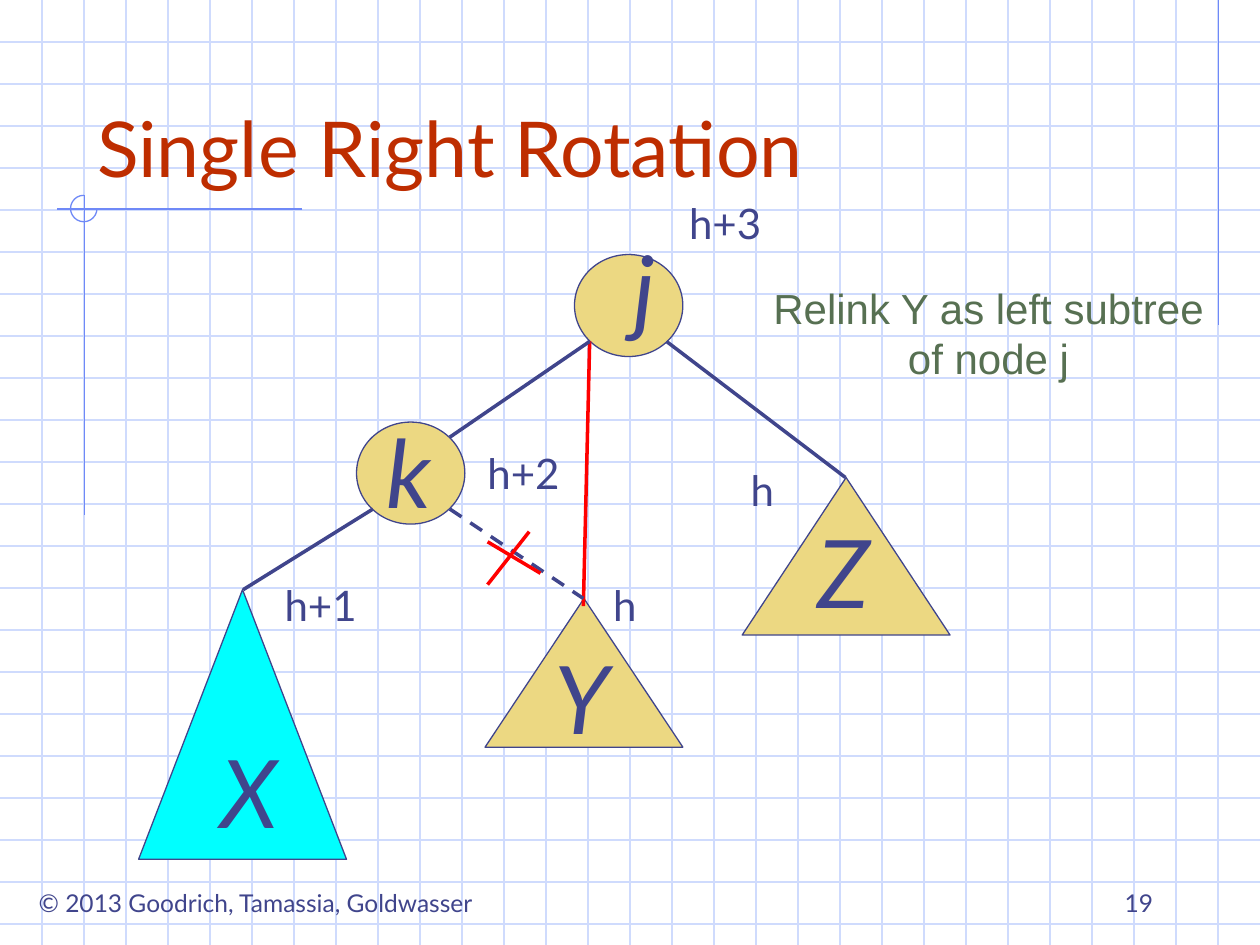
from lxml import etree
from pptx import Presentation
from pptx.dml.color import RGBColor
from pptx.enum.dml import MSO_LINE
from pptx.enum.shapes import MSO_CONNECTOR, MSO_SHAPE
from pptx.enum.text import MSO_ANCHOR, MSO_AUTO_SIZE, PP_ALIGN
from pptx.oxml.ns import qn
from pptx.util import Inches, Pt

STRAIGHT = MSO_CONNECTOR.STRAIGHT
OVAL = MSO_SHAPE.OVAL
CONE = MSO_SHAPE.ISOSCELES_TRIANGLE
ARC = MSO_SHAPE.ARC
DASH = MSO_LINE.DASH
TOP, BOTTOM = MSO_ANCHOR.TOP, MSO_ANCHOR.BOTTOM
LEFT, CENTER, RIGHT = PP_ALIGN.LEFT, PP_ALIGN.CENTER, PP_ALIGN.RIGHT
NO_FIT = MSO_AUTO_SIZE.NONE

WIDE, HIGH = 10, 7.5
INK, GOLD, CYAN, RED = "40458C", "ECD882", "00FFFF", "FF0000"
PALE, BLUE, RUST, GREEN = "CFDBFD", "6F89F7", "BE2D00", "577052"


def color(code):
    return RGBColor.from_string(code)


def inches(box):
    return [Inches(value) for value in box]


def line(slide, start, end, code=INK, width=2, dash=None):
    link = slide.shapes.add_connector(STRAIGHT, *inches(start + end))
    link.line.color.rgb = color(code)
    link.line.width = Pt(width)
    if dash:
        link.line.dash_style = dash
    etree.SubElement(link._element.spPr, qn("a:effectLst"))


def shape(slide, kind, box, fill=None, code=INK):
    form = slide.shapes.add_shape(kind, *inches(box))
    form.shadow.inherit = False
    if fill:
        form.fill.solid()
        form.fill.fore_color.rgb = color(fill)
    else:
        form.fill.background()
    form.line.color.rgb = color(code)
    form.line.width = Pt(0.75)
    return form


def style(frame, text, size, code=INK, align=CENTER, anchor=TOP, font="Lato", wrap=True):
    frame.auto_size = NO_FIT
    frame.word_wrap = wrap
    frame.vertical_anchor = anchor
    frame.text = text
    para = frame.paragraphs[0]
    para.alignment = align
    para.font.size = Pt(size)
    para.font.name = font
    para.font.color.rgb = color(code)
    return para


def label(slide, box, text, size=24, **look):
    area = slide.shapes.add_textbox(*inches(box))
    return style(area.text_frame, text, size, **look)


def grid(slide, wide, high, step=1 / 3):
    for row in range(1, int(high / step) + 1):
        line(slide, (0, row * step), (wide, row * step), PALE, 0.75)
    for col in range(1, int(wide / step)):
        line(slide, (col * step, 0), (col * step, high), PALE, 0.75)


def marks(slide):
    for start, end in (
        ((9.67, 0), (9.67, 2.58)),
        ((2.4, 1.66), (0.45, 1.66)),
        ((0.67, 1.55), (0.67, 4.09)),
    ):
        line(slide, start, end, BLUE, 0.75)
    ring = shape(slide, ARC, (0.56, 1.55, 0.21, 0.21), code=BLUE)
    ring.adjustments[0] = 0
    ring.adjustments[1] = 162


def heading(slide, box, text):
    title = slide.shapes.title
    title.left, title.top, title.width, title.height = inches(box)
    style(title.text_frame, text, 44, code=RUST, align=LEFT, anchor=BOTTOM)
    title._element.getparent().append(title._element)


def node(slide, kind, box, name, spot, fill=GOLD):
    shape(slide, kind, box, fill)
    label(slide, spot + (0.53, 1), name, 54).font.italic = True


def tree(slide):
    for kind, box, name, spot, fill in (
        (OVAL, (4.56, 2.02, 0.86, 0.81), "j", (4.85, 1.78), GOLD),
        (OVAL, (2.83, 3.35, 0.86, 0.81), "k", (2.97, 3.24), GOLD),
        (CONE, (1.1, 4.68, 1.65, 2.14), "X", (1.65, 5.78), CYAN),
        (CONE, (3.85, 4.75, 1.57, 1.18), "Y", (4.3, 5.03), GOLD),
        (CONE, (5.89, 3.79, 1.65, 1.25), "Z", (6.39, 4.03), GOLD),
    ):
        node(slide, kind, box, name, spot, fill)
    for start, end, code, dash in (
        ((2.96, 4.04), (1.93, 4.68), INK, None),
        ((5.29, 2.71), (6.71, 3.79), INK, None),
        ((4.68, 2.71), (4.63, 4.81), RED, None),
        ((3.57, 3.47), (4.68, 2.71), INK, None),
        ((3.57, 4.04), (4.63, 4.75), INK, DASH),
        ((3.87, 4.3), (4.29, 4.55), RED, None),
        ((4.2, 4.22), (3.87, 4.64), RED, None),
    ):
        line(slide, start, end, code, dash=dash)
    for left, top, text in (
        (5.85, 3.64, "h"),
        (2.15, 4.55, "h+1"),
        (4.76, 4.55, "h"),
        (3.76, 3.5, "h+2"),
        (5.36, 1.52, "h+3"),
    ):
        width = 0.4 if text == "h" else 0.79
        label(slide, (left, top, width, 0.5), text, wrap=False)


def main():
    deck = Presentation()
    deck.slide_width, deck.slide_height = inches((WIDE, HIGH))
    slide = deck.slides.add_slide(deck.slide_layouts[5])
    grid(slide, WIDE, HIGH)
    marks(slide)
    label(slide, (0.09, 7, 3.88, 0.34), "© 2013 Goodrich, Tamassia, Goldwasser", 14, wrap=False)
    heading(slide, (0.67, 0.33, 8.5, 1.25), "Single Right Rotation")
    label(slide, (7.17, 6.83, 2.08, 0.5), "19", 14, align=RIGHT, anchor=BOTTOM)
    tree(slide)
    label(slide, (5.89, 2.19, 3.91, 0.9), "Relink Y as left subtree of node j", code=GREEN, font="Arial")
    deck.save("out.pptx")


if __name__ == "__main__":
    main()
